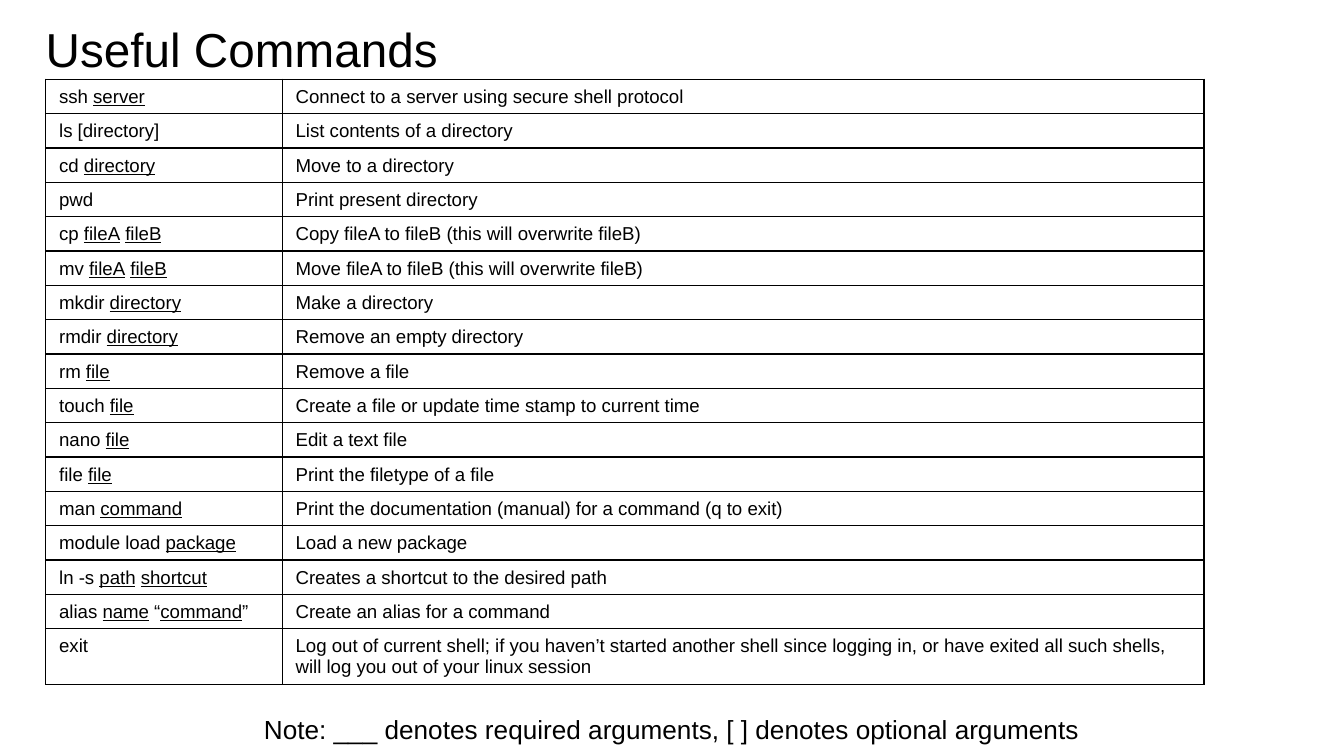
from lxml.etree import SubElement
from pptx import Presentation
from pptx.dml.color import RGBColor
from pptx.enum.text import MSO_ANCHOR as Anchor, PP_ALIGN as Align
from pptx.oxml.ns import qn
from pptx.util import Pt

BLACK = RGBColor(0, 0, 0)
WHITE = RGBColor(255, 255, 255)

COMMANDS = [
    ("ssh _server_", "Connect to a server using secure shell protocol"),
    ("ls [directory]", "List contents of a directory"),
    ("cd _directory_", "Move to a directory"),
    ("pwd", "Print present directory"),
    ("cp _fileA_ _fileB_", "Copy fileA to fileB (this will overwrite fileB)"),
    ("mv _fileA_ _fileB_", "Move fileA to fileB (this will overwrite fileB)"),
    ("mkdir _directory_", "Make a directory"),
    ("rmdir _directory_", "Remove an empty directory"),
    ("rm _file_", "Remove a file"),
    ("touch _file_", "Create a file or update time stamp to current time"),
    ("nano _file_", "Edit a text file"),
    ("file _file_", "Print the filetype of a file"),
    ("man _command_", "Print the documentation (manual) for a command (q to exit)"),
    ("module load _package_", "Load a new package"),
    ("ln -s _path_ _shortcut_", "Creates a shortcut to the desired path"),
    ("alias _name_ “_command_”", "Create an alias for a command"),
    ("exit", "Log out of current shell; if you haven’t started another shell since "
             "logging in, or have exited all such shells, will log you out of your "
             "linux session"),
]


class CommandSheet:
    font = "Arial"
    ink = BLACK
    border = 0.75

    def __init__(self, slide):
        self.slide = slide

    def run(self, paragraph, words, size, underline=False):
        run = paragraph.add_run()
        run.text = words
        run.font.name = self.font
        run.font.size = Pt(size)
        run.font.color.rgb = self.ink
        run.font.underline = underline

    def text(self, words, left, top, width, height, size,
             align=Align.LEFT, anchor=Anchor.TOP, side_inset=0):
        box = self.slide.shapes.add_textbox(Pt(left), Pt(top), Pt(width), Pt(height))
        frame = box.text_frame
        frame.word_wrap = True
        frame.vertical_anchor = anchor
        frame.margin_left = frame.margin_right = Pt(side_inset)
        frame.margin_top = frame.margin_bottom = Pt(7.2)
        frame.paragraphs[0].alignment = align
        self.run(frame.paragraphs[0], words, size)

    def outline(self, cell):
        properties = cell._tc.get_or_add_tcPr()
        for edge in ("a:lnL", "a:lnR", "a:lnT", "a:lnB"):
            line = SubElement(properties, qn(edge), w=str(Pt(self.border)))
            fill = SubElement(line, qn("a:solidFill"))
            SubElement(fill, qn("a:srgbClr"), val=str(self.ink))

    def cell(self, cell, marked, size):
        cell.margin_left = cell.margin_right = Pt(7.2)
        cell.margin_top, cell.margin_bottom = Pt(3.9), Pt(2)
        self.outline(cell)
        cell.fill.background()
        for index, words in enumerate(marked.split("_")):
            if words:
                self.run(cell.text_frame.paragraphs[0], words, size, index % 2 == 1)

    def table(self, rows, left, top, widths, row_height, last_height, size):
        heights = [row_height] * (len(rows) - 1) + [last_height]
        table = self.slide.shapes.add_table(
            len(rows), len(widths), Pt(left), Pt(top),
            Pt(sum(widths)), Pt(sum(heights))).table
        table.first_row = table.horz_banding = False
        for column, width in zip(table.columns, widths):
            column.width = Pt(width)
        for row, height, entries in zip(table.rows, heights, rows):
            row.height = Pt(height)
            for cell, marked in zip(row.cells, entries):
                self.cell(cell, marked, size)


def main():
    deck = Presentation()
    deck.slide_width, deck.slide_height = Pt(720), Pt(405)
    slide = deck.slides.add_slide(deck.slide_layouts[6])
    slide.background.fill.solid()
    slide.background.fill.fore_color.rgb = WHITE

    sheet = CommandSheet(slide)
    sheet.text("Useful Commands", 24.5, 3.2, 671, 45.4, 25.5, anchor=Anchor.BOTTOM)
    sheet.table(COMMANDS, 24.5, 42.5, (126.7, 493.9), 18.4, 29.7, 10)
    sheet.text("Note: ___ denotes required arguments, [ ] denotes optional arguments",
               129.9, 375.1, 460, 31, 14, align=Align.CENTER, side_inset=7.2)
    deck.save("out.pptx")


if __name__ == "__main__":
    main()
